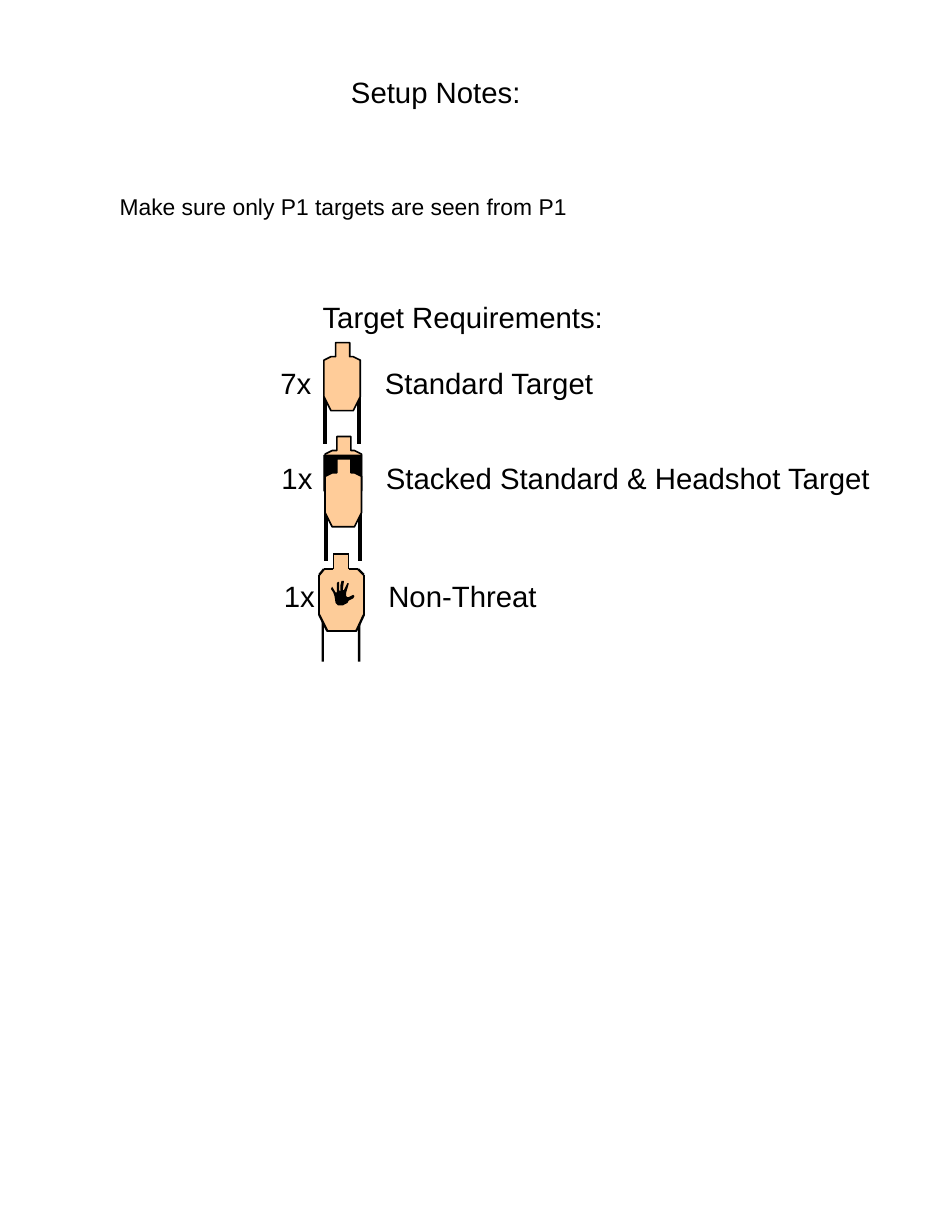
from dataclasses import dataclass

from lxml import etree
from pptx import Presentation
from pptx import util as u
from pptx.dml.color import RGBColor
from pptx.enum import shapes, text
from pptx.oxml import ns


@dataclass(frozen=True)
class Theme:
    font: str = "Arial"
    heading: int = 18
    body: int = 14
    hairline: float = 0
    outline: float = 1
    slanted: float = 1.38
    post: float = 2.25
    black: RGBColor = RGBColor(0x00, 0x00, 0x00)
    tan: RGBColor = RGBColor(0xFF, 0xCC, 0x99)
    pale_tan: RGBColor = RGBColor(0xFD, 0xCC, 0x99)


# Outlines are in inches from the top left corner of each figure.
TARGET = [(0.1, 0), (0.22, 0), (0.22, 0.12), (0.25, 0.12), (0.31, 0.15),
          (0.31, 0.46), (0.25, 0.58), (0.06, 0.58), (0, 0.46), (0, 0.15),
          (0.06, 0.12), (0.1, 0.12)]
HEADSHOT_MASK = [(0, 0), (0.32, 0), (0.32, 0.3), (0.26, 0.42), (0.06, 0.42),
                 (0, 0.3)]
NON_THREAT = [(0.12, 0), (0.12, 0.13), (0.04, 0.13), (0, 0.18), (0, 0.52),
              (0.07, 0.66), (0.31, 0.66), (0.32, 0.65), (0.38, 0.52),
              (0.38, 0.18), (0.33, 0.13), (0.25, 0.13), (0.25, 0)]
HAND = [(0.14, 0.19), (0.12, 0.2), (0.1, 0.21), (0.06, 0.21), (0.04, 0.19),
        (0.03, 0.13), (0.02, 0.1), (0, 0.07), (0.01, 0.05), (0.04, 0.1),
        (0.05, 0.1), (0.05, 0.02), (0.06, 0.01), (0.07, 0.01), (0.07, 0.08),
        (0.08, 0.09), (0.08, 0.04), (0.09, 0), (0.11, 0), (0.11, 0.01),
        (0.1, 0.08), (0.11, 0.08), (0.14, 0.02), (0.15, 0.02), (0.15, 0.03),
        (0.13, 0.1), (0.13, 0.13), (0.14, 0.14), (0.15, 0.14), (0.19, 0.12),
        (0.2, 0.13), (0.19, 0.15), (0.17, 0.16), (0.15, 0.17)]


def write(shape, content, *, theme, size, wrap=True, tab=None):
    """Fill a shape with one left-aligned paragraph; tab is a stop in inches."""
    frame = shape.text_frame
    frame.word_wrap = wrap
    frame.auto_size = text.MSO_AUTO_SIZE.NONE
    frame.vertical_anchor = text.MSO_ANCHOR.TOP
    paragraph = frame.paragraphs[0]
    paragraph.text = content
    paragraph.alignment = text.PP_ALIGN.LEFT
    if tab:
        properties = paragraph._p.get_or_add_pPr()
        stops = etree.SubElement(properties, ns.qn("a:tabLst"))
        etree.SubElement(stops, ns.qn("a:tab"), pos=str(u.Inches(tab)), algn="l")
    font = paragraph.runs[0].font
    font.name, font.size = theme.font, u.Pt(size)
    font.color.rgb = theme.black


class SlideBuilder:
    def __init__(self, slide, theme):
        self.slide = slide
        self.theme = theme

    def title(self, content, left, top, width, height):
        shape = self.slide.shapes.title
        shape.left, shape.top = u.Inches(left), u.Inches(top)
        shape.width, shape.height = u.Inches(width), u.Inches(height)
        write(shape, content, theme=self.theme, size=self.theme.heading, wrap=False)

    def text(self, content, left, top, width, height, **text_format):
        box = self.slide.shapes.add_textbox(*map(u.Inches, (left, top, width, height)))
        write(box, content, theme=self.theme, **text_format)

    def outline(self, points, left, top, fill, weight=None):
        """Draw a closed figure, without a line unless a weight is given."""
        corners = [(u.Inches(left + x), u.Inches(top + y)) for x, y in points]
        builder = self.slide.shapes.build_freeform(*corners[0])
        builder.add_line_segments(corners[1:], close=True)
        shape = builder.convert_to_shape()
        self.paint(shape, fill)
        if weight is not None:
            shape.line.color.rgb = self.theme.black
            shape.line.width = u.Pt(weight)

    def edges(self, points, left, top):
        """Trace a figure with one line per side, slanted sides heavier."""
        for (x1, y1), (x2, y2) in zip(points, points[1:] + points[:1]):
            straight = x1 == x2 or y1 == y2
            self.line(left + x1, top + y1, left + x2, top + y2,
                      self.theme.outline if straight else self.theme.slanted)

    def paint(self, shape, fill):
        shape.shadow.inherit = False
        shape.fill.solid()
        shape.fill.fore_color.rgb = fill
        shape.line.fill.background()

    def line(self, x1, y1, x2, y2, weight):
        connector = self.slide.shapes.add_connector(
            shapes.MSO_CONNECTOR.STRAIGHT, *map(u.Inches, (x1, y1, x2, y2)))
        connector.line.color.rgb = self.theme.black
        connector.line.width = u.Pt(weight)
        etree.SubElement(connector._element.spPr, ns.qn("a:effectLst"))

    def bar(self, left, top, width, height):
        shape = self.slide.shapes.add_shape(
            shapes.MSO_SHAPE.RECTANGLE, *map(u.Inches, (left, top, width, height)))
        self.paint(shape, self.theme.black)


def main():
    presentation = Presentation()
    presentation.slide_width, presentation.slide_height = u.Inches(8), u.Inches(10.5)
    theme = Theme()
    title_only = presentation.slide_layouts[5]
    builder = SlideBuilder(presentation.slides.add_slide(title_only), theme)

    builder.title("Setup Notes:", 2.89, 0.58, 1.66, 0.4)
    builder.text("Make sure only P1 targets are seen from P1",
                 0.92, 1.59, 6.17, 0.34, size=theme.body)
    builder.text("Target Requirements:", 2.65, 2.5, 2.7, 0.4,
                 size=theme.heading, wrap=False)

    requirements = [
        ("7x", "Standard Target", 2.29, 3.06, 2.89),
        ("1x", "Stacked Standard & Headshot Target", 2.3, 3.87, 5.3),
        ("1x", "Non-Threat", 2.32, 4.88, 3.24),
    ]
    for count, name, left, top, width in requirements:
        builder.text(f"{count}\t{name}", left, top, width, 0.4,
                     size=theme.heading, tab=0.89)

    # Standard target
    for x in (2.77, 3.06):
        builder.line(x, 3.34, x, 3.78, theme.post)
    builder.outline(TARGET, 2.76, 2.92, theme.tan, theme.outline)

    # Non-threat target
    for x in (2.74, 3.05):
        builder.bar(x, 5.21, 0.02, 0.43)
    builder.outline(NON_THREAT, 2.72, 4.72, theme.pale_tan)
    builder.edges(NON_THREAT, 2.72, 4.72)
    builder.outline(HAND, 2.82, 4.95, theme.black)

    # Headshot target behind a standard target
    for x in (2.78, 3.07):
        builder.line(x, 4.15, x, 4.78, theme.post)
    builder.outline(TARGET, 2.77, 3.72, theme.tan, theme.outline)
    builder.outline(HEADSHOT_MASK, 2.76, 3.88, theme.black, theme.hairline)
    builder.outline(TARGET, 2.77, 3.91, theme.tan, theme.outline)

    presentation.save("out.pptx")


if __name__ == "__main__":
    main()
